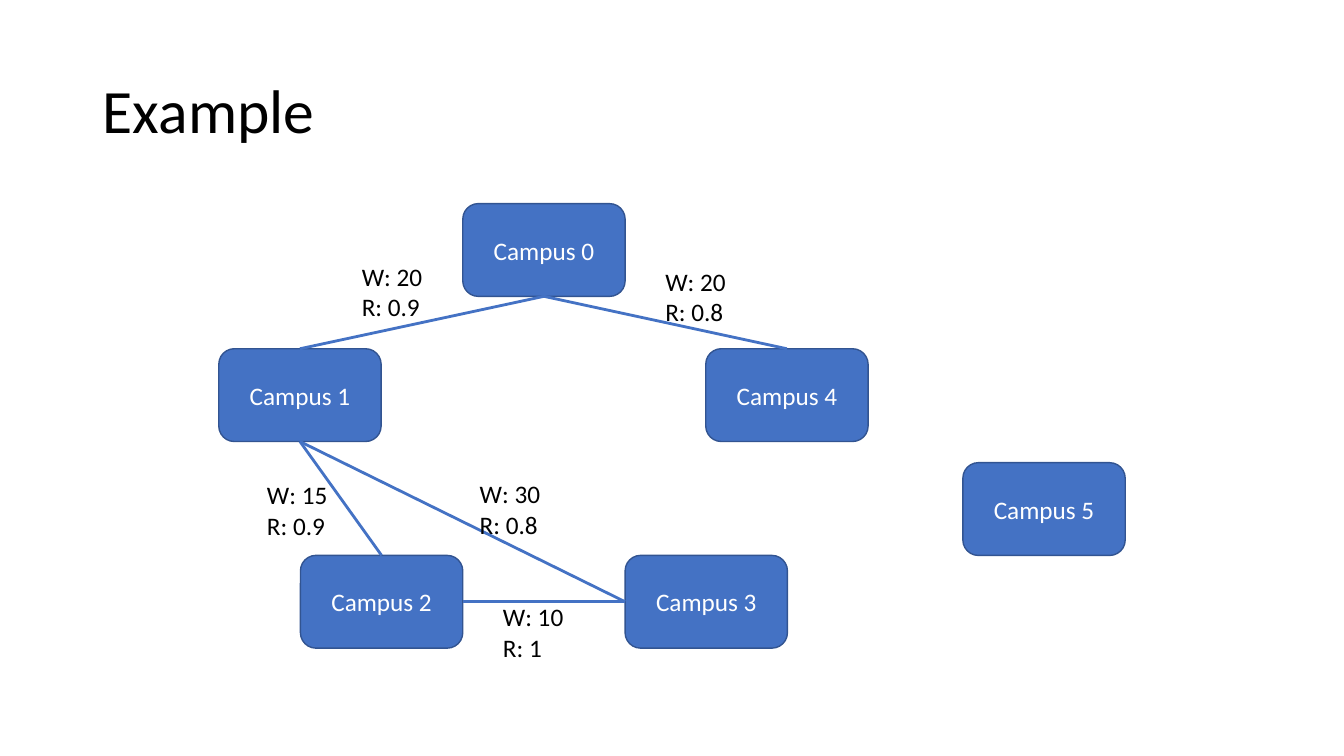
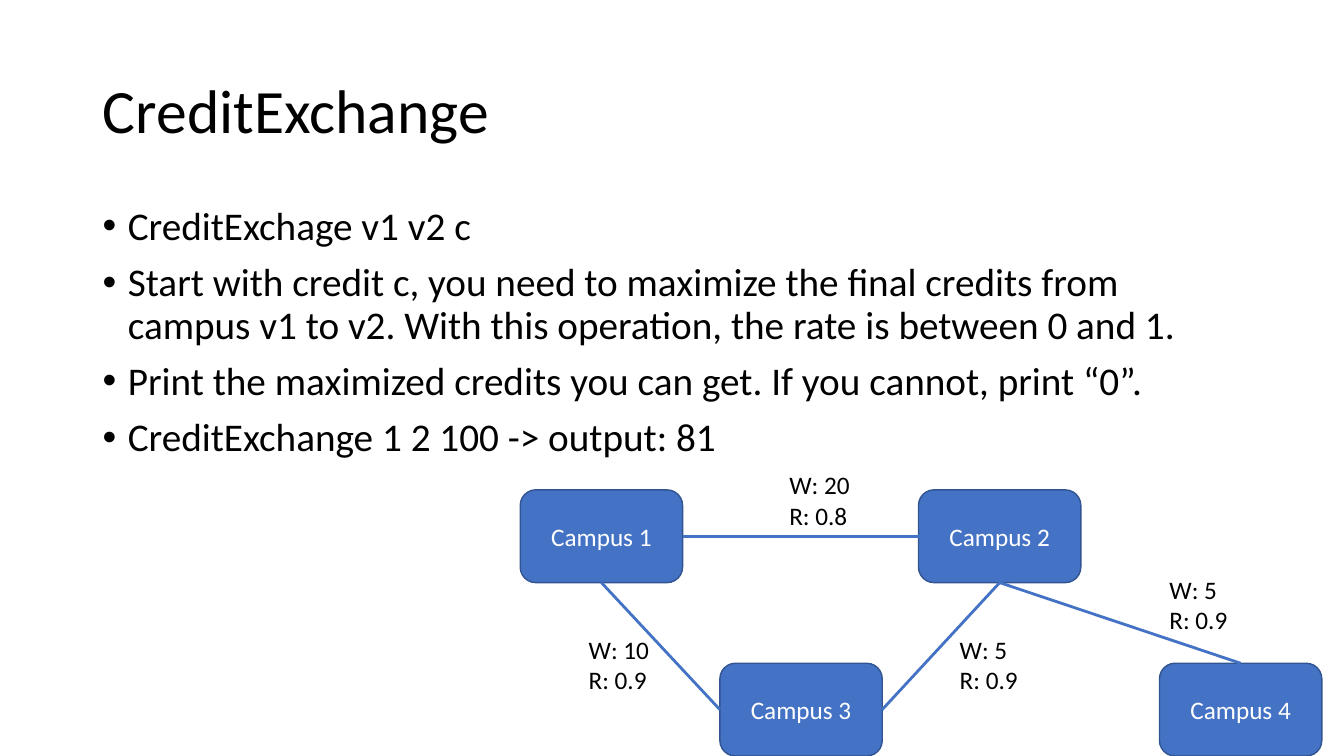
from dataclasses import dataclass
from enum import IntEnum
from typing import NamedTuple

from lxml.etree import SubElement
from pptx import Presentation
from pptx.dml.color import RGBColor
from pptx.enum.shapes import MSO_CONNECTOR, MSO_SHAPE
from pptx.enum.text import MSO_ANCHOR, MSO_AUTO_SIZE, PP_ALIGN
from pptx.oxml.ns import qn
from pptx.util import Inches, Pt


@dataclass(frozen=True)
class Theme:
    font: str = "Calibri"
    ink: RGBColor = RGBColor(0x00, 0x00, 0x00)
    paper: RGBColor = RGBColor(0xFF, 0xFF, 0xFF)
    accent: RGBColor = RGBColor(0x44, 0x72, 0xC4)
    outline: RGBColor = RGBColor(0x32, 0x54, 0x91)
    title_size: int = 44
    bullet_size: int = 28
    label_size: int = 18
    line_spacing: float = 0.9
    bullet_gap: int = 10
    bullet_indent: float = 0.25
    outline_width: float = 1
    edge_width: float = 2


THEME = Theme()
NODE_WIDTH, NODE_HEIGHT = 1.61, 0.92
LABEL_WIDTH, LABEL_HEIGHT = 1, 0.71
MARGIN, CONTENT_WIDTH = 0.92, 11.5


class Side(IntEnum):
    TOP = 0
    LEFT = 1
    BOTTOM = 2
    RIGHT = 3


class Edge(NamedTuple):
    start: int
    start_side: Side
    end: int
    end_side: Side
    weight: str
    rate: str
    label_at: tuple


EXAMPLE_CAMPUSES = {
    0: (4.59, 2.02),
    1: (2.17, 3.46),
    4: (7, 3.46),
    2: (2.98, 5.51),
    3: (6.2, 5.51),
    5: (9.55, 4.59),
}
EXAMPLE_EDGES = [
    Edge(0, Side.BOTTOM, 1, Side.TOP, "20", "0.9", (3.49, 2.54)),
    Edge(1, Side.BOTTOM, 2, Side.TOP, "15", "0.9", (2.55, 4.71)),
    Edge(0, Side.BOTTOM, 4, Side.TOP, "20", "0.8", (6.5, 2.59)),
    Edge(1, Side.BOTTOM, 3, Side.LEFT, "30", "0.8", (4.66, 4.7)),
    Edge(2, Side.RIGHT, 3, Side.LEFT, "10", "1", (4.89, 5.92)),
]

EXCHANGE_RULES = [
    "CreditExchage v1 v2 c",
    "Start with credit c, you need to maximize the final credits from campus v1 to v2. "
    "With this operation, the rate is between 0 and 1.",
    "Print the maximized credits you can get. If you cannot, print “0”.",
    "CreditExchange 1 2 100 -> output: 81",
]
EXCHANGE_CAMPUSES = {
    1: (5.16, 4.86),
    2: (9.11, 4.86),
    3: (7.14, 6.58),
    4: (11.5, 6.58),
}
EXCHANGE_EDGES = [
    Edge(2, Side.LEFT, 1, Side.RIGHT, "20", "0.8", (7.73, 4.61)),
    Edge(3, Side.LEFT, 1, Side.BOTTOM, "10", "0.9", (5.74, 6.24)),
    Edge(3, Side.RIGHT, 2, Side.BOTTOM, "5", "0.9", (9.42, 6.24)),
    Edge(4, Side.TOP, 2, Side.BOTTOM, "5", "0.9", (11.5, 5.65)),
]


def format_text(frame, size, color):
    for paragraph in frame.paragraphs:
        for run in paragraph.runs:
            run.font.name = THEME.font
            run.font.size = Pt(size)
            run.font.color.rgb = color


def add_titled_slide(prs, heading):
    slide = prs.slides.add_slide(prs.slide_layouts[5])
    title = slide.shapes.title
    title.left, title.top = Inches(MARGIN), Inches(0.4)
    title.width, title.height = Inches(CONTENT_WIDTH), Inches(1.45)
    frame = title.text_frame
    frame.text = heading
    frame.vertical_anchor = MSO_ANCHOR.MIDDLE
    frame.paragraphs[0].alignment = PP_ALIGN.LEFT
    frame.paragraphs[0].line_spacing = THEME.line_spacing
    format_text(frame, THEME.title_size, THEME.ink)
    return slide


def add_bullets(slide, items):
    frame = slide.shapes.add_textbox(
        Inches(MARGIN), Inches(2), Inches(CONTENT_WIDTH), Inches(4.76)
    ).text_frame
    frame.word_wrap = True
    frame.text = "\n".join(items)
    for paragraph in frame.paragraphs:
        paragraph.line_spacing = THEME.line_spacing
        paragraph.space_before = Pt(THEME.bullet_gap)
        properties = paragraph._p.get_or_add_pPr()
        properties.set("marL", str(Inches(THEME.bullet_indent)))
        properties.set("indent", str(-Inches(THEME.bullet_indent)))
        SubElement(properties, qn("a:buFont")).set("typeface", "Arial")
        SubElement(properties, qn("a:buChar")).set("char", "•")
    format_text(frame, THEME.bullet_size, THEME.ink)


def add_campus(slide, number, left, top):
    campus = slide.shapes.add_shape(
        MSO_SHAPE.ROUNDED_RECTANGLE,
        Inches(left), Inches(top), Inches(NODE_WIDTH), Inches(NODE_HEIGHT),
    )
    campus.shadow.inherit = False
    campus.fill.solid()
    campus.fill.fore_color.rgb = THEME.accent
    campus.line.color.rgb = THEME.outline
    campus.line.width = Pt(THEME.outline_width)
    frame = campus.text_frame
    frame.text = f"Campus {number}"
    frame.vertical_anchor = MSO_ANCHOR.MIDDLE
    frame.paragraphs[0].alignment = PP_ALIGN.CENTER
    format_text(frame, THEME.label_size, THEME.paper)
    return campus


def add_edge(slide, campuses, edge):
    link = slide.shapes.add_connector(MSO_CONNECTOR.STRAIGHT, 0, 0, 0, 0)
    link.begin_connect(campuses[edge.start], edge.start_side.value)
    link.end_connect(campuses[edge.end], edge.end_side.value)
    link.line.color.rgb = THEME.accent
    link.line.width = Pt(THEME.edge_width)
    SubElement(link._element.spPr, qn("a:effectLst"))


def add_edge_label(slide, edge):
    left, top = edge.label_at
    frame = slide.shapes.add_textbox(
        Inches(left), Inches(top), Inches(LABEL_WIDTH), Inches(LABEL_HEIGHT)
    ).text_frame
    frame.word_wrap = True
    frame.auto_size = MSO_AUTO_SIZE.SHAPE_TO_FIT_TEXT
    frame.text = f"W: {edge.weight}\nR: {edge.rate}"
    format_text(frame, THEME.label_size, THEME.ink)


def add_graph(slide, positions, edges):
    campuses = {
        number: add_campus(slide, number, left, top)
        for number, (left, top) in positions.items()
    }
    for edge in edges:
        add_edge(slide, campuses, edge)
        add_edge_label(slide, edge)


def main():
    prs = Presentation()
    prs.slide_width, prs.slide_height = Inches(13.33), Inches(7.5)

    example = add_titled_slide(prs, "Example")
    add_graph(example, EXAMPLE_CAMPUSES, EXAMPLE_EDGES)

    exchange = add_titled_slide(prs, "CreditExchange")
    add_bullets(exchange, EXCHANGE_RULES)
    add_graph(exchange, EXCHANGE_CAMPUSES, EXCHANGE_EDGES)

    prs.save("out.pptx")


if __name__ == "__main__":
    main()
